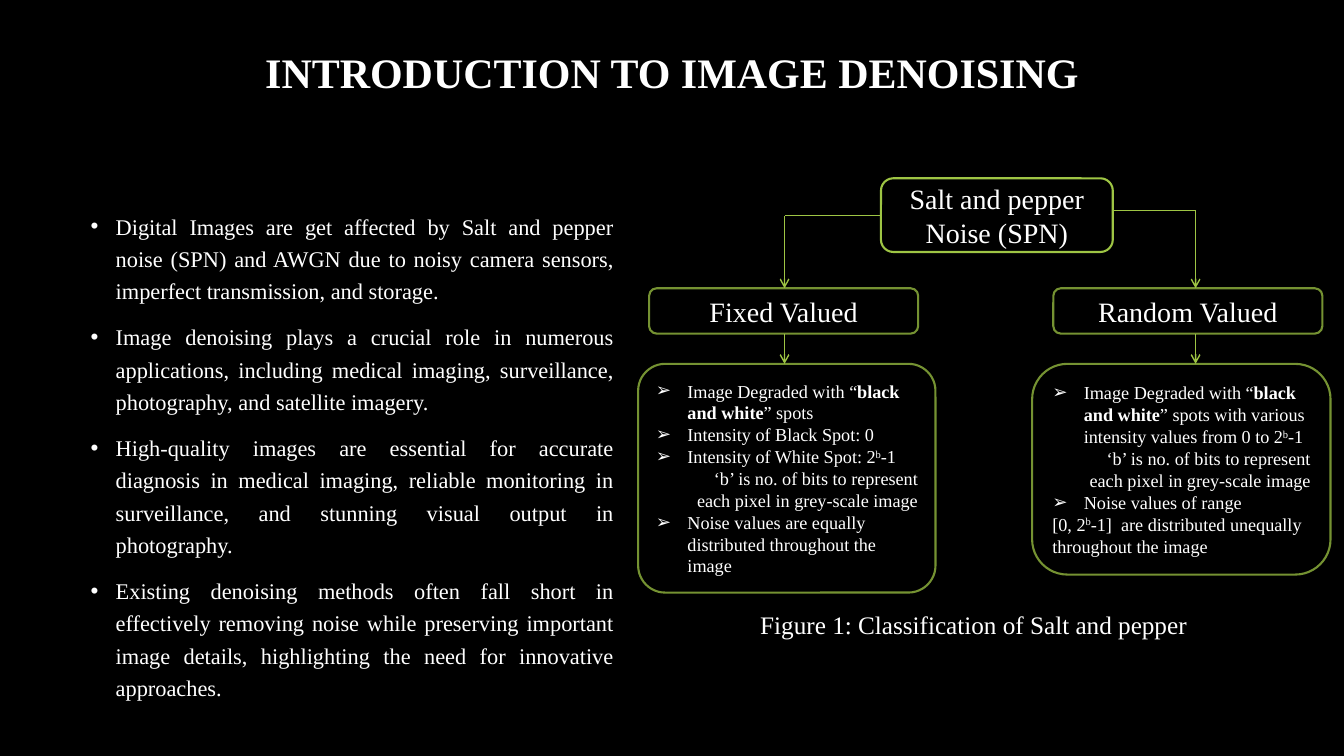
from pptx import Presentation
from pptx.dml.color import RGBColor
from pptx.enum.shapes import MSO_CONNECTOR as CONN, MSO_SHAPE as SHAPE
from pptx.enum.text import MSO_ANCHOR as ANCHOR, PP_ALIGN as ALIGN
from pptx.oxml.ns import qn
from pptx.util import Pt
from lxml.etree import SubElement

FONT = "Times New Roman"
BLACK, WHITE, LIME, OLIVE = "000000", "FFFFFF", "9EC544", "759232"
TITLE = "INTRODUCTION TO IMAGE DENOISING"
CAPTION = "Figure 1: Classification of Salt and pepper"
POINTS = [
    "Digital Images are get affected by Salt and pepper noise (SPN) and AWGN due to noisy "
    "camera sensors, imperfect transmission, and storage.",
    "Image denoising plays a crucial role in numerous applications, including medical imaging, "
    "surveillance, photography, and satellite imagery.",
    "High-quality images are essential for accurate diagnosis in medical imaging, reliable "
    "monitoring in surveillance, and stunning visual output in photography.",
    "Existing denoising methods often fall short in effectively removing noise while preserving "
    "important image details, highlighting the need for innovative approaches.",
]

BOLD, SUPER = "bold", "super"
DEGRADED = [("Image Degraded with “", None), ("black and white", BOLD)]
POWER = [("b", SUPER), ("-1", None)]
BITS = ("right", [("‘b’ is no. of bits to represent each pixel in grey-scale image", None)])
FIXED_DETAILS = [
    ("bullet", DEGRADED + [("” spots", None)]),
    ("bullet", [("Intensity of Black Spot: 0", None)]),
    ("bullet", [("Intensity of White Spot: 2", None)] + POWER),
    BITS,
    ("bullet", [("Noise values are equally distributed throughout the image", None)]),
]
RANDOM_DETAILS = [
    ("bullet", DEGRADED + [("” spots with various intensity values from 0 to 2", None)] + POWER),
    BITS,
    ("bullet", [("Noise values of range", None)]),
    ("plain", [("[0, 2", None), ("b", SUPER),
               ("-1]  are distributed unequally throughout the image", None)]),
]

ROOT = (629.3, 127.4, 165.6, 52.6)
CHILD_Y, CHILD_W, CHILD_H = 205.9, 192.2, 32.4
DETAIL_Y = 259.9
BRANCHES = [
    ("Fixed Valued", 463.7, (455.8, 212.4, 163.4), 0.118, FIXED_DETAILS,
     ROOT[0], 154.1, 560.4),
    ("Random Valued", 752.4, (737.3, 213.1, 150.5), 0.167, RANDOM_DETAILS,
     ROOT[0] + ROOT[2], 150.5, 854),
]


def color(value):
    return RGBColor.from_string(value)


def style(r, size, bold=False):
    r.font.name, r.font.size, r.font.bold = FONT, Pt(size), bold
    r.font.color.rgb = color(WHITE)


def write(p, text, size, align=ALIGN.CENTER, bold=False):
    p.text = text
    p.alignment = align
    for r in p.runs:
        style(r, size, bold)


def indent(p, margin, char=None):
    pPr = p._p.get_or_add_pPr()
    pPr.set("marL", str(Pt(margin)))
    if char:
        pPr.set("indent", str(-Pt(margin)))
        SubElement(pPr, qn("a:buFont")).set("typeface", "Arial")
        SubElement(pPr, qn("a:buChar")).set("char", char)


def add_text(s, *box):
    tf = s.shapes.add_textbox(*map(Pt, box)).text_frame
    tf.word_wrap = True
    return tf


def add_box(s, box, line, adj=0.167):
    sp = s.shapes.add_shape(SHAPE.ROUNDED_RECTANGLE, *map(Pt, box))
    sp.adjustments[0] = adj
    sp.shadow.inherit = False
    sp.fill.background()
    sp.line.color.rgb = color(line)
    sp.line.width = Pt(1.5)
    tf = sp.text_frame
    tf.word_wrap = True
    tf.vertical_anchor = ANCHOR.MIDDLE
    return tf


def add_line(s, x1, y1, x2, y2, arrow=False):
    c = s.shapes.add_connector(CONN.STRAIGHT, Pt(x1), Pt(y1), Pt(x2), Pt(y2))
    c.line.color.rgb = color(LIME)
    c.line.width = Pt(1)
    if arrow:
        SubElement(c.line._get_or_add_ln(), qn("a:tailEnd")).set("type", "arrow")
    SubElement(c._element.spPr, qn("a:effectLst"))


def add_details(tf, details):
    for i, (kind, parts) in enumerate(details):
        p = tf.add_paragraph() if i else tf.paragraphs[0]
        p.alignment = ALIGN.RIGHT if kind == "right" else ALIGN.LEFT
        if kind != "plain":
            indent(p, 22.5, "➢" if kind == "bullet" else None)
        for text, look in parts:
            r = p.add_run()
            r.text = text
            style(r, 13, look == BOLD)
            if look == SUPER:
                r._r.get_or_add_rPr().set("baseline", "30000")


def main():
    prs = Presentation()
    prs.slide_width, prs.slide_height = Pt(960), Pt(540)
    s = prs.slides.add_slide(prs.slide_layouts[5])
    s.background.fill.solid()
    s.background.fill.fore_color.rgb = color(BLACK)

    title = s.shapes.title
    title.left, title.top, title.width, title.height = map(Pt, (72.7, 1.5, 815, 104.4))
    title.text_frame.vertical_anchor = ANCHOR.MIDDLE
    p = title.text_frame.paragraphs[0]
    write(p, TITLE, 30, bold=True)
    p.line_spacing = 0.9

    tf = add_text(s, 57.6, 144.7, 388, 360.7)
    for i, text in enumerate(POINTS):
        p = tf.add_paragraph() if i else tf.paragraphs[0]
        write(p, text, 16, ALIGN.JUSTIFY)
        p.line_spacing = 1.2
        p.space_before = Pt(10)
        indent(p, 18, "•")

    write(add_box(s, ROOT, LIME).paragraphs[0], "Salt and pepper Noise (SPN)", 20)
    for name, x, (dx, dw, dh), adj, details, start, y, stem in BRANCHES:
        write(add_box(s, (x, CHILD_Y, CHILD_W, CHILD_H), OLIVE).paragraphs[0], name, 20)
        add_details(add_box(s, (dx, DETAIL_Y, dw, dh), OLIVE, adj), details)
        add_line(s, start, y, stem, y)
        add_line(s, stem, y, stem, CHILD_Y, True)
        add_line(s, stem, CHILD_Y + CHILD_H, stem, DETAIL_Y, True)

    write(add_text(s, 528.5, 432, 334, 51).paragraphs[0], CAPTION, 18)
    prs.save("out.pptx")


if __name__ == "__main__":
    main()
